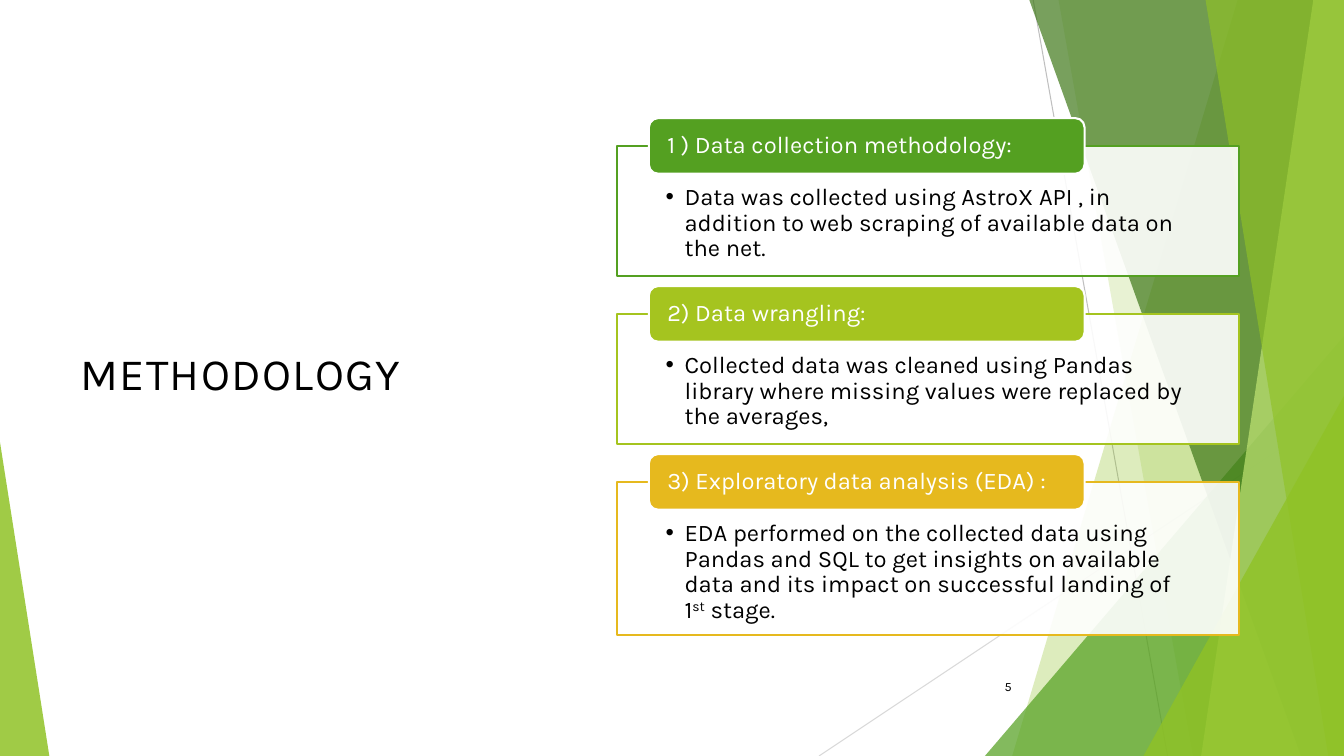
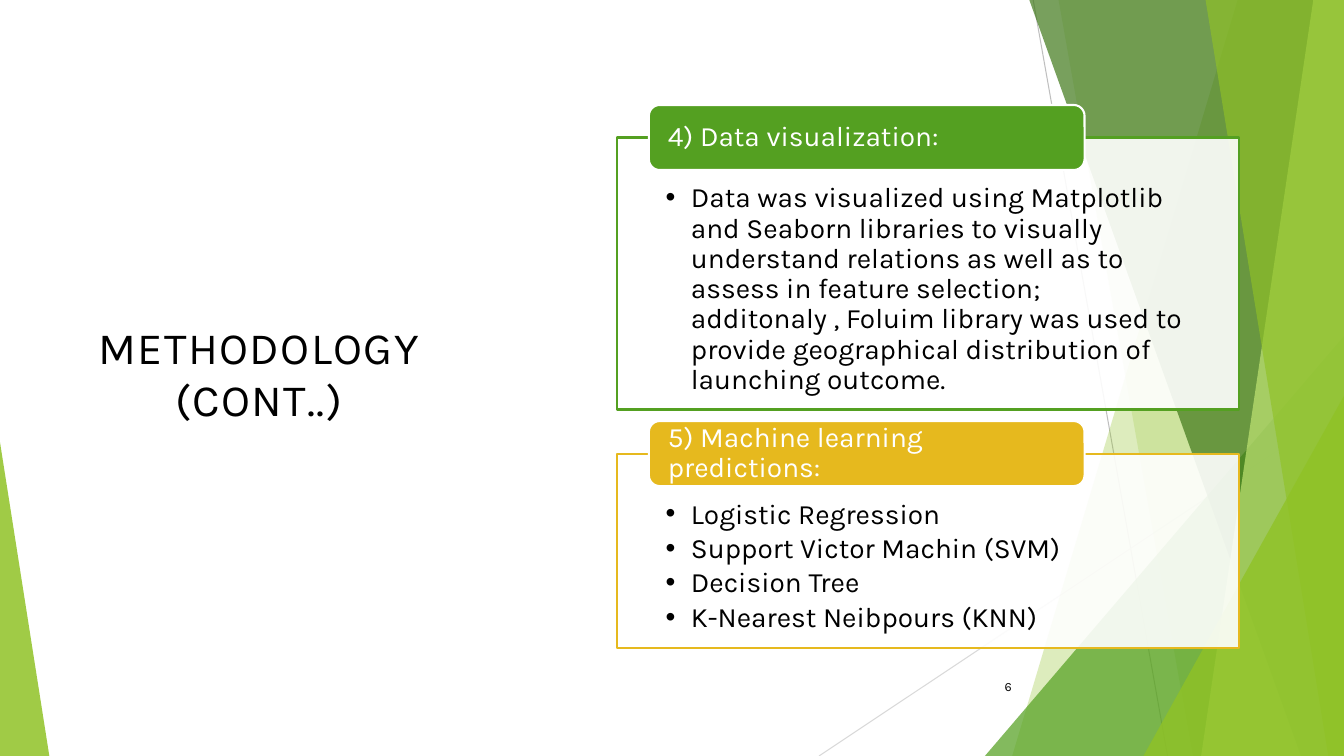
import lxml.etree
import pptx
import pptx.dml.color
import pptx.enum.shapes
import pptx.enum.text
import pptx.oxml.ns
import pptx.util

PX = 9525  # EMU, 96 px to the inch
WIDTH, HEIGHT = 1280, 720
FONT = "Karla"
BLACK, WHITE = "000000", "FFFFFF"
GREEN, LIME, GOLD = "54A021", "A5C41F", "E6B91E"
LEAF, FOREST, PALE = "90C226", "3F7819", "C0E474"

ALIGN = pptx.enum.text.PP_ALIGN
ANCHOR = pptx.enum.text.MSO_ANCHOR
SHAPE = pptx.enum.shapes.MSO_SHAPE

SLIDES = [
    {
        "title": ["METHODOLOGY"], "title_align": ALIGN.LEFT,
        "number": "5", "number_color": BLACK,
        "size": 17, "top": 139, "gap": 36, "tab_height": 53,
        "insets": (46, 37, 46, 12), "indent": 18,
        "steps": [
            ("1 ) Data collection methodology:", GREEN, 124,
             ["Data was collected using AstroX API , in addition to web scraping "
              "of available data on the net."]),
            ("2) Data wrangling:", LIME, 124,
             ["Collected data was cleaned using Pandas library where missing "
              "values were replaced by the averages,"]),
            ("3) Exploratory data analysis (EDA) :", GOLD, 146,
             ["EDA performed on the collected data using Pandas and SQL to get "
              "insights on available data and its impact on successful landing "
              "of 1^st^ stage."]),
        ],
    },
    {
        "title": ["METHODOLOGY", "(CONT..)"], "title_align": ALIGN.CENTER,
        "number": "6", "number_color": "0D0D0D",
        "size": 20, "top": 131, "gap": 42, "tab_height": 62,
        "insets": (46, 44, 46, 15), "indent": 24,
        "steps": [
            ("4) Data visualization:", GREEN, 259,
             ["Data was visualized using Matplotlib and Seaborn libraries to "
              "visually understand relations as well as to assess in feature "
              "selection; additonaly , Foluim library was used to provide "
              "geographical distribution of launching outcome."]),
            ("5) Machine learning predictions:", GOLD, 185,
             ["Logistic Regression", "Support Victor Machin (SVM)",
              "Decision Tree", "K-Nearest Neibpours (KNN)"]),
        ],
    },
]

# Background facets, back to front
RAYS = [((984, 0), (1112, HEIGHT), "BFBFBF"), ((WIDTH, 387), (780, HEIGHT), "D9D9D9")]
FACETS = [
    # ("band", top x, bottom x, colour, opacity): runs to the right edge
    # ("triangle", box, apex position, colour, opacity)
    ("band", 1179, 964, LEAF, 30),
    ("band", 1008, 1136, LEAF, 20),
    ("triangle", (938, 320, 342, 400), 1, GREEN, 72),
    ("band", 980, 1239, FOREST, 70),
    ("band", 1251, 1144, PALE, 70),
    ("band", 1148, 1265, LEAF, 65),
    ("triangle", (1089, 377, 191, 343), 1, LEAF, 80),
    ("triangle", (0, 421, 47, 299), 0, LEAF, 85),
]
TITLE_BOX = (67, 67, 359, 585)
NUMBER_BOX = (901, 635, 72, 38)
PANEL_LEFT, PANEL_WIDTH = 588, 592
TAB_LEFT, TAB_WIDTH = 618, 415
TAB_INSETS = (15, 0, 15, 0)


def px(*lengths):
    return [pptx.util.Emu(round(length * PX)) for length in lengths]


def rgb(color):
    return pptx.dml.color.RGBColor.from_string(color)


def add_element(parent, tag, **attributes):
    element = lxml.etree.SubElement(parent, pptx.oxml.ns.qn(tag))
    for key, value in attributes.items():
        element.set(key, str(value))
    return element


def paint(shape, color, opacity=100, outline=None):
    shape.shadow.inherit = False
    shape.fill.solid()
    shape.fill.fore_color.rgb = rgb(color)
    if opacity < 100:
        fill_color = shape._element.spPr.find(".//" + pptx.oxml.ns.qn("a:srgbClr"))
        add_element(fill_color, "a:alpha", val=opacity * 1000)
    if outline:
        shape.line.color.rgb = rgb(outline)
        shape.line.width = pptx.util.Pt(1.5)
    else:
        shape.line.fill.background()


def write(shape, lines, size, color, align=ALIGN.LEFT, anchor=ANCHOR.MIDDLE,
          insets=None, spacing=None, after=0, bullet_indent=0, tracking=0):
    """Fill a shape with paragraphs; text between ^ marks is superscript."""
    frame = shape.text_frame
    frame.word_wrap = True
    frame.vertical_anchor = anchor
    if insets:
        (frame.margin_left, frame.margin_top,
         frame.margin_right, frame.margin_bottom) = px(*insets)
    for index, line in enumerate(lines):
        paragraph = frame.paragraphs[0] if index == 0 else frame.add_paragraph()
        paragraph.alignment = align
        paragraph.line_spacing = spacing
        paragraph.space_after = pptx.util.Pt(after)
        if bullet_indent:
            properties = paragraph._p.get_or_add_pPr()
            properties.set("marL", str(bullet_indent * PX))
            properties.set("indent", str(-bullet_indent * PX))
            add_element(properties, "a:buFont", typeface="Arial")
            add_element(properties, "a:buChar", char="•")
        paragraph.font.name = FONT
        paragraph.font.size = pptx.util.Pt(size)
        paragraph.font.color.rgb = rgb(color)
        for part, text in enumerate(line.split("^")):
            run = paragraph.add_run()
            run.text = text
            if part % 2:
                run._r.get_or_add_rPr().set("baseline", "30000")
            if tracking:
                run._r.get_or_add_rPr().set("spc", str(tracking * 100))


def draw_background(shapes):
    for start, end, color in RAYS:
        ray = shapes.add_connector(
            pptx.enum.shapes.MSO_CONNECTOR.STRAIGHT, *px(*start, *end))
        ray.line.color.rgb = rgb(color)
        ray.line.width = pptx.util.Pt(0.75)
        add_element(ray._element.spPr, "a:effectLst")
    for kind, *place, color, opacity in FACETS:
        if kind == "band":
            top_x, bottom_x = place
            outline = shapes.build_freeform(top_x, -1, scale=PX)
            outline.add_line_segments(
                [(WIDTH, -1), (WIDTH, HEIGHT), (bottom_x, HEIGHT)], close=True)
            facet = outline.convert_to_shape()
        else:
            box, apex = place
            facet = shapes.add_shape(SHAPE.ISOSCELES_TRIANGLE, *px(*box))
            facet.adjustments[0] = apex
        paint(facet, color, opacity)


def draw_steps(shapes, content):
    top, tab_height, size = content["top"], content["tab_height"], content["size"]
    for heading, color, height, points in content["steps"]:
        panel = shapes.add_shape(
            SHAPE.RECTANGLE, *px(PANEL_LEFT, top, PANEL_WIDTH, height))
        paint(panel, WHITE, 90, outline=color)
        write(panel, points, size, BLACK, anchor=ANCHOR.TOP, insets=content["insets"],
              spacing=0.9, after=3, bullet_indent=content["indent"])
        tab = shapes.add_shape(
            SHAPE.ROUNDED_RECTANGLE,
            *px(TAB_LEFT, top - tab_height / 2, TAB_WIDTH, tab_height))
        paint(tab, color, outline=WHITE)
        write(tab, [heading], size, WHITE, insets=TAB_INSETS, spacing=0.9)
        top += height + content["gap"]


def main():
    deck = pptx.Presentation()
    deck.slide_width, deck.slide_height = px(WIDTH, HEIGHT)
    for content in SLIDES:
        shapes = deck.slides.add_slide(deck.slide_layouts[6]).shapes
        draw_background(shapes)
        write(shapes.add_textbox(*px(*TITLE_BOX)), content["title"], 32, BLACK,
              align=content["title_align"], spacing=0.8, after=6, tracking=1)
        write(shapes.add_textbox(*px(*NUMBER_BOX)), [content["number"]], 9,
              content["number_color"], align=ALIGN.RIGHT, after=6)
        draw_steps(shapes, content)
    deck.save("out.pptx")


if __name__ == "__main__":
    main()
